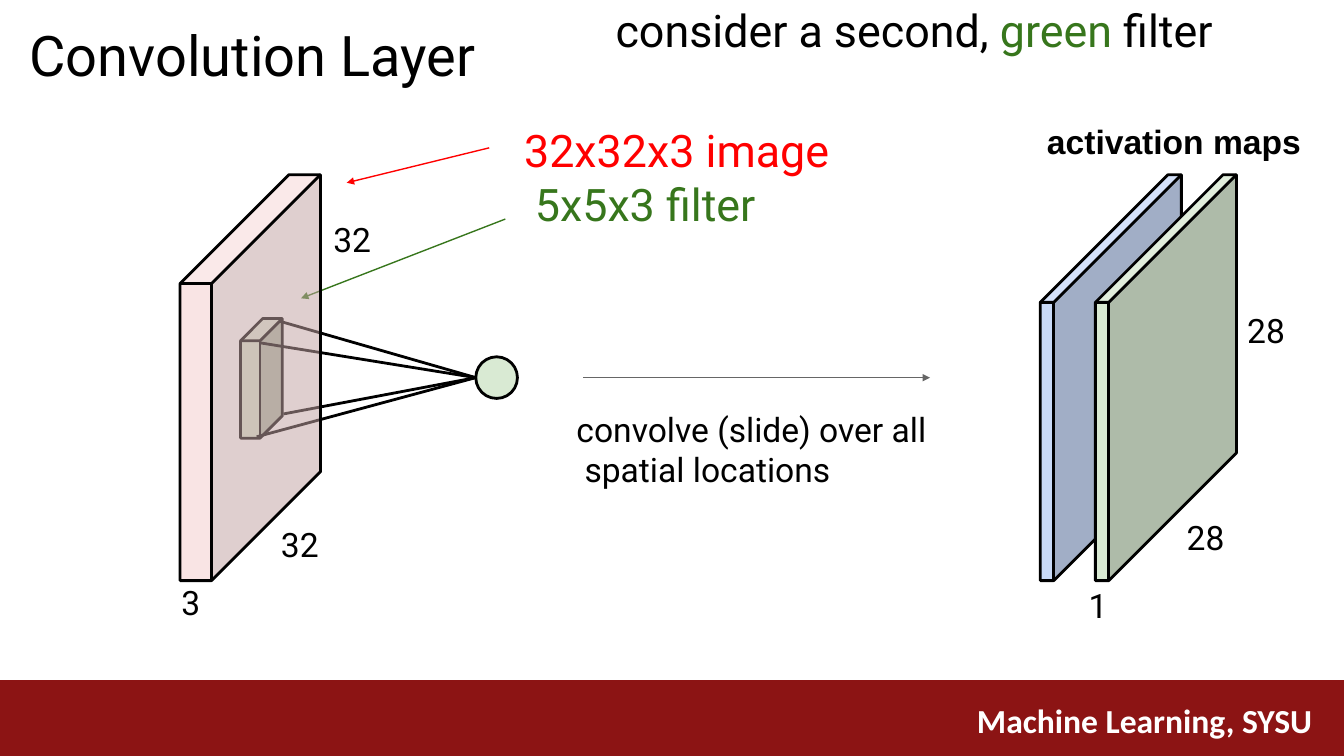
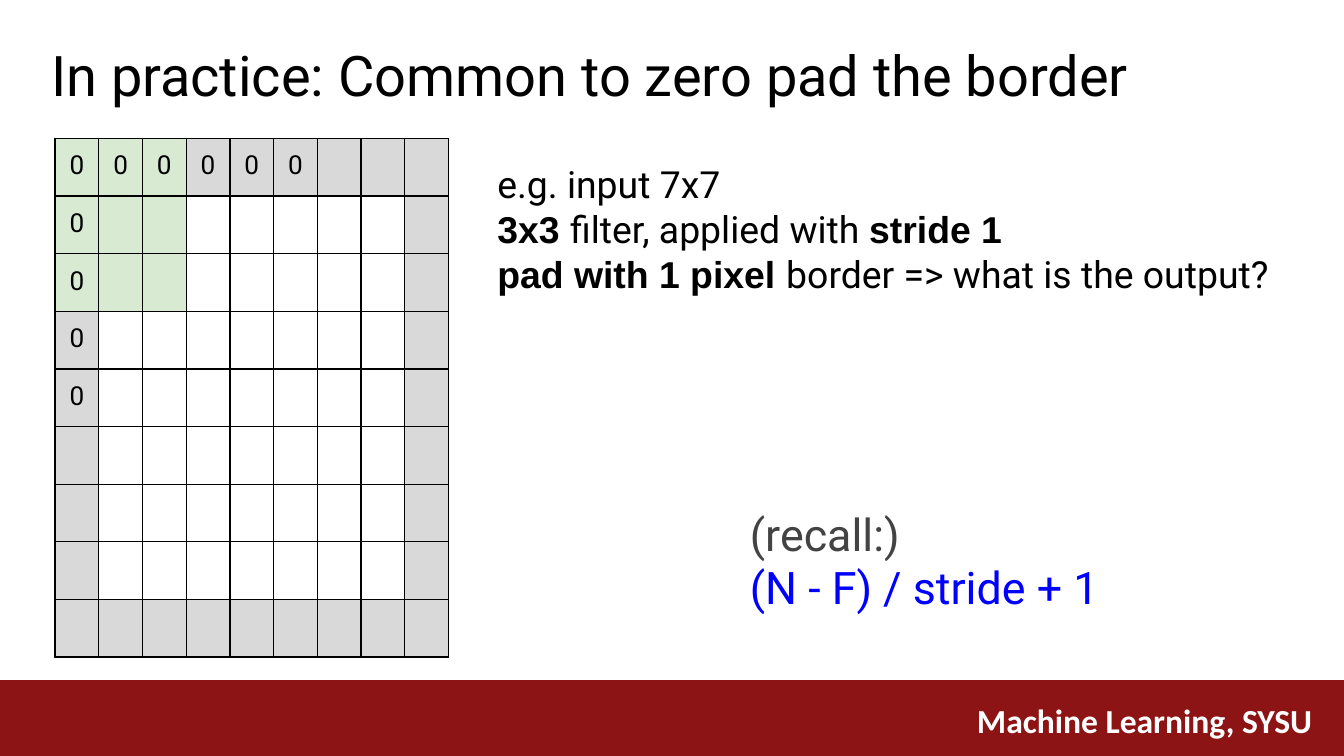
from dataclasses import dataclass
from typing import NamedTuple

from lxml import etree
from pptx import Presentation
from pptx.dml.color import RGBColor
from pptx.enum.shapes import MSO_CONNECTOR, MSO_SHAPE, PP_PLACEHOLDER
from pptx.enum.text import MSO_ANCHOR, MSO_AUTO_SIZE, PP_ALIGN
from pptx.oxml.ns import qn
from pptx.util import Inches, Pt

LEFT, CENTER = PP_ALIGN.LEFT, PP_ALIGN.CENTER
TOP = MSO_ANCHOR.TOP
GROW = MSO_AUTO_SIZE.SHAPE_TO_FIT_TEXT
STRAIGHT = MSO_CONNECTOR.STRAIGHT
OVAL, RECTANGLE = MSO_SHAPE.OVAL, MSO_SHAPE.RECTANGLE
TITLE = PP_PLACEHOLDER.TITLE

# The grid: 100 columns wide, 56.25 rows high, square cells
UNIT = Inches(0.1)
COLUMNS, ROWS = 100, 56.25
TITLE_ONLY = 5


@dataclass(frozen=True)
class Theme:
    ink: str = "000000"
    white: str = "FFFFFF"
    band: str = "8C1414"
    red: str = "FF0000"
    green: str = "37761C"
    blue: str = "0000FF"
    gray: str = "666666"
    recall: str = "434343"
    pad: str = "D9D9D9"
    mint: str = "D9EAD3"
    sky: str = "C9DAF7"
    rose: str = "F4CCCC"
    sans: str = "Roboto"
    strong: str = "Arial"
    footer: str = "Calibri"
    heading: float = 30
    large: float = 24
    body: float = 20
    label: float = 18
    cell: float = 14
    outline: float = 1.5
    thin: float = 0.75


THEME = Theme()


class Box(NamedTuple):
    left: float
    top: float
    width: float
    height: float


class Run(NamedTuple):
    text: str
    color: str | None = None
    bold: bool = False


class Line(NamedTuple):
    runs: list[Run]
    size: float = THEME.label
    color: str = THEME.ink
    face: str = THEME.sans
    bold: bool = False
    indent: float = 0
    spacing: float | None = None


class Label(NamedTuple):
    box: Box
    lines: list[Line]


class Arrow(NamedTuple):
    start: tuple[float, float]
    end: tuple[float, float]
    color: str


class Slab(NamedTuple):
    left: float
    top: float
    height: float
    edge: float
    rise: float
    color: str
    opacity: int = 100


def grid(value: float) -> int:
    return round(value * UNIT)


def rgb(color: str) -> RGBColor:
    return RGBColor.from_string(color)


def mix(color: str, target: int, share: float = 0.2) -> str:
    """Move each channel of a colour towards a target level."""
    channels = (int(color[i:i + 2], 16) for i in (0, 2, 4))
    return "".join(f"{round(c + (target - c) * share):02X}" for c in channels)


def line(text: str, **style) -> Line:
    return Line([Run(text)], **style)


# Text
def write(frame, lines: list[Line], align=LEFT) -> None:
    for index, item in enumerate(lines):
        paragraph = frame.add_paragraph() if index else frame.paragraphs[0]
        paragraph.alignment = align
        if item.indent:
            paragraph._p.get_or_add_pPr().set("marL", str(grid(item.indent)))
        if item.spacing:
            paragraph.line_spacing = Pt(item.spacing)
        font = paragraph.font
        font.name, font.size, font.bold = item.face, Pt(item.size), item.bold
        font.color.rgb = rgb(item.color)
        for part in item.runs:
            run = paragraph.add_run()
            run.text = part.text
            if part.color:
                run.font.color.rgb = rgb(part.color)
            if part.bold:
                run.font.bold, run.font.name = True, THEME.strong


def fit_frame(frame) -> None:
    frame.word_wrap, frame.auto_size = True, GROW
    frame.vertical_anchor = TOP
    frame.margin_left = frame.margin_right = frame.margin_bottom = 0
    frame.margin_top = grid(0.1)


def add_label(slide, label: Label) -> None:
    frame = slide.shapes.add_textbox(*map(grid, label.box)).text_frame
    fit_frame(frame)
    write(frame, label.lines)


def set_title(slide, label: Label) -> None:
    title = slide.shapes.title
    title.left, title.top, title.width, title.height = map(grid, label.box)
    fit_frame(title.text_frame)
    write(title.text_frame, label.lines)


# Shapes
def paint(shape, fill: str | None, outline: bool, opacity: int = 100) -> None:
    shape.shadow.inherit = False
    if fill:
        shape.fill.solid()
        shape.fill.fore_color.rgb = rgb(fill)
        if opacity < 100:
            color = next(shape.element.spPr.iter(qn("a:srgbClr")))
            etree.SubElement(color, qn("a:alpha"), val=str(opacity * 1000))
    else:
        shape.fill.background()
    if outline:
        shape.line.color.rgb = rgb(THEME.ink)
        shape.line.width = Pt(THEME.outline)
    else:
        shape.line.fill.background()


def add_outline(slide, contours, closed: bool):
    (first, *rest), *others = [[tuple(map(grid, p)) for p in c] for c in contours]
    builder = slide.shapes.build_freeform(*first)
    builder.add_line_segments(rest, close=closed)
    for start, *points in others:
        builder.move_to(*start)
        builder.add_line_segments(points, close=False)
    return builder.convert_to_shape()


def add_slab(slide, slab: Slab) -> None:
    x0, y0 = slab.left, slab.top
    x1, y1 = x0 + slab.edge, y0 + slab.rise
    back, x2 = x0 + slab.rise, x1 + slab.rise
    y2, bottom = y0 + slab.height - slab.rise, y0 + slab.height
    side = [(x0, y1), (x1, y1), (x1, bottom), (x0, bottom)]
    front = [(x1, y1), (x2, y0), (x2, y2), (x1, bottom)]
    lid = [(x0, y1), (back, y0), (x2, y0), (x1, y1)]
    shades = (slab.color, mix(slab.color, 0), mix(slab.color, 255))
    for face, shade in zip((side, front, lid), shades):
        paint(add_outline(slide, [face], True), shade, False, slab.opacity)
    rim = [(x0, y1), (back, y0), (x2, y0), (x2, y2), (x1, bottom), (x0, bottom)]
    folds = [[(x0, y1), (x1, y1), (x2, y0)], [(x1, y1), (x1, bottom)]]
    paint(add_outline(slide, [rim, *folds], True), None, True)


def add_line(slide, start, end, color: str, width: float):
    connector = slide.shapes.add_connector(STRAIGHT, *map(grid, (*start, *end)))
    connector.line.color.rgb, connector.line.width = rgb(color), Pt(width)
    etree.SubElement(connector.element.spPr, qn("a:effectLst"))
    return connector


def add_arrow(slide, arrow: Arrow) -> None:
    connector = add_line(slide, *arrow, THEME.thin)
    stroke = connector.element.spPr.find(qn("a:ln"))
    etree.SubElement(stroke, qn("a:tailEnd"), type="triangle", w="sm", len="sm")


def add_padded_grid(slide, box: Box, count: int, kernel: int, zeros: tuple[int, int]) -> None:
    """Grid with a grey border, a green filter window and zeros along the top and left."""
    table = slide.shapes.add_table(count, count, *map(grid, box)).table
    table.first_row = table.horz_banding = False
    for row in range(count):
        for col in range(count):
            cell = table.cell(row, col)
            cell.margin_left = cell.margin_right = cell.margin_bottom = 0
            cell.margin_top = grid(0.9)
            is_zero = row == 0 and col < zeros[0] or col == 0 and row < zeros[1]
            if is_zero:
                write(cell.text_frame, [line("0", size=THEME.cell)], CENTER)
            properties = cell._tc.get_or_add_tcPr()
            for side in ("lnL", "lnR", "lnT", "lnB"):
                border = etree.SubElement(properties, qn(f"a:{side}"), w=str(Pt(THEME.thin)))
                solid = etree.SubElement(border, qn("a:solidFill"))
                etree.SubElement(solid, qn("a:srgbClr"), val=THEME.ink)
            in_window = max(row, col) < kernel
            if in_window or {row, col} & {0, count - 1}:
                cell.fill.solid()
                cell.fill.fore_color.rgb = rgb(THEME.mint if in_window else THEME.pad)
            else:
                cell.fill.background()


# Shared footer band, kept on the slide master
def move_footer_to_master(slide) -> None:
    layout = slide.slide_layout
    master = layout.slide_master
    for holder in (master, layout):
        for placeholder in list(holder.placeholders):
            if placeholder.placeholder_format.type != TITLE:
                holder.shapes.element.remove(placeholder.element)
    band = slide.shapes.add_shape(RECTANGLE, *map(grid, Box(0, 50.6, COLUMNS, ROWS - 50.6)))
    paint(band, THEME.band, False)
    course = slide.shapes.add_textbox(*map(grid, Box(71.7, 51.6, 27.5, 4)))
    course.text_frame.word_wrap = True
    write(course.text_frame, [line("Machine Learning, SYSU", color=THEME.white,
                                   face=THEME.footer, bold=True)])
    for shape in (band, course):
        master.shapes.element.append(shape.element)


def build_convolution(slide) -> None:
    set_title(slide, Label(Box(45.8, 0.1, 44.9, 4.3), [
        Line([Run("consider a second, "), Run("green ", THEME.green), Run("filter")],
             size=THEME.large)]))

    # Activation maps, then the filter with its neuron
    for left, color in ((77.4, THEME.sky), (81.5, THEME.mint)):
        add_slab(slide, Slab(left, 13, 30.2, 1, 9.5, color))
    add_slab(slide, Slab(17.9, 23.7, 8.9, 1.45, 1.65, THEME.mint))
    neuron = slide.shapes.add_shape(OVAL, *map(grid, Box(35.4, 26.55, 3.1, 3.1)))
    paint(neuron, THEME.mint, True)
    for corner in ((19.1, 32.5), (19.3, 25.5), (20.8, 23.9), (21.1, 30.8)):
        add_line(slide, corner, (35.4, 28.1), THEME.ink, THEME.outline)

    # Input volume over the filter, with pointers
    add_arrow(slide, Arrow((36.4, 11), (25.8, 13.6), THEME.red))
    add_arrow(slide, Arrow((37.6, 16.3), (22.4, 22.2), THEME.green))
    add_slab(slide, Slab(13.4, 13, 30.2, 2.35, 8.1, THEME.rose, 52))
    add_arrow(slide, Arrow((43.4, 28.1), (69.2, 28.1), THEME.gray))

    # Dimensions
    for left, top, size in ((20.9, 38.9, "32"), (24.8, 16.2, "32"), (13.5, 43.2, "3"),
                            (81, 43.4, "1"), (88.3, 38.4, "28"), (92.8, 23, "28")):
        add_label(slide, Label(Box(left, top, 1.7 if len(size) == 1 else 3.1, 3.3), [line(size)]))

    # Captions
    for label in (
        Label(Box(2.1, 1.4, 33.8, 5.3), [line("Convolution Layer", size=THEME.heading, indent=0.1)]),
        Label(Box(38.9, 9.1, 22.9, 8.2), [
            line("32x32x3 image", size=THEME.large, color=THEME.red, indent=0.1, spacing=28.5),
            line("5x5x3 filter", size=THEME.large, color=THEME.green, indent=0.9, spacing=28.5)]),
        Label(Box(42.8, 30.3, 26.4, 6.3), [
            line("convolve (slide) over all", indent=0.1), line("spatial locations", indent=0.7)]),
        Label(Box(77.9, 8.9, 19.2, 3.3), [line("activation maps", face=THEME.strong, bold=True)]),
    ):
        add_label(slide, label)


def build_padding(slide) -> None:
    set_title(slide, Label(Box(3.7, 2.9, 80.8, 5.3), [
        line("In practice: Common to zero pad the border", size=THEME.heading, indent=0.1)]))
    add_padded_grid(slide, Box(4.1, 10.3, 29.3, 38.6), 9, 3, (6, 5))
    add_label(slide, Label(Box(36.9, 11.9, 57.8, 10.3), [
        Line(runs, size=THEME.body, indent=0.1) for runs in (
            [Run("e.g. input 7x7")],
            [Run("3x3 ", bold=True), Run("filter, applied with "), Run("stride 1", bold=True)],
            [Run("pad with 1 pixel ", bold=True), Run("border => what is the output?")])]))
    add_label(slide, Label(Box(55.7, 37.6, 26.5, 8.2), [
        line(text, size=THEME.large, color=color, indent=0.1, spacing=28.6)
        for text, color in (("(recall:)", THEME.recall), ("(N - F) / stride + 1", THEME.blue))]))


def main() -> None:
    deck = Presentation()
    deck.slide_width, deck.slide_height = grid(COLUMNS), grid(ROWS)
    layout = deck.slide_layouts[TITLE_ONLY]
    convolution, padding = (deck.slides.add_slide(layout) for _ in range(2))
    move_footer_to_master(convolution)
    build_convolution(convolution)
    build_padding(padding)
    deck.save("out.pptx")


if __name__ == "__main__":
    main()
